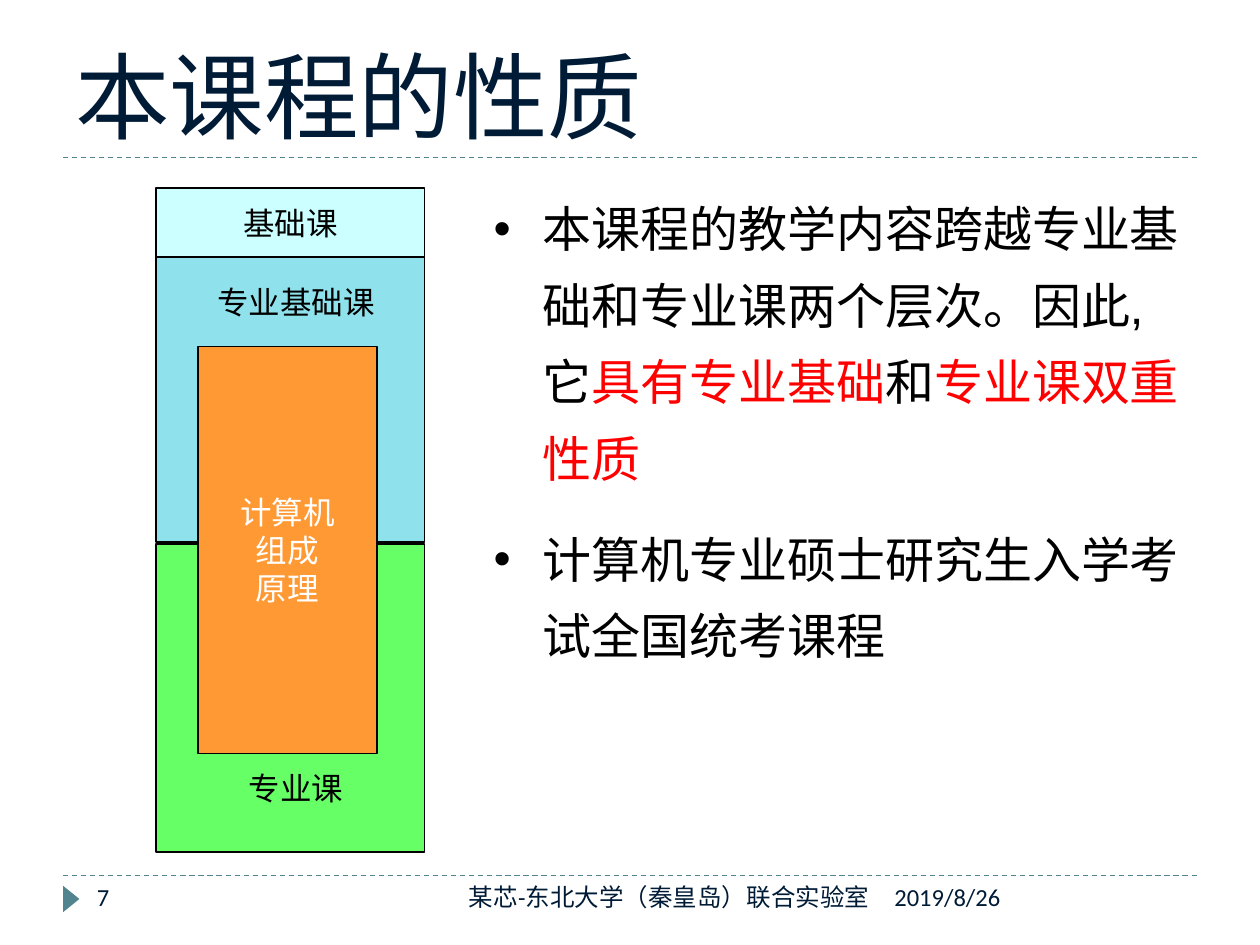
import dataclasses

import lxml.etree
import pptx
import pptx.dml.color
import pptx.enum.dml
import pptx.enum.shapes
import pptx.enum.text
import pptx.oxml.ns
import pptx.util

Inches = pptx.util.Inches
Pt = pptx.util.Pt
Align = pptx.enum.text.PP_ALIGN
Anchor = pptx.enum.text.MSO_ANCHOR
Shape = pptx.enum.shapes.MSO_SHAPE
qn = pptx.oxml.ns.qn


@dataclasses.dataclass(frozen=True)
class Theme:
    """Colours, fonts and type sizes of the slide."""

    navy: str = "001B36"
    teal: str = "51848E"
    black: str = "000000"
    white: str = "FFFFFF"
    red: str = "FF0000"
    basic: str = "CCFFFF"
    major_basic: str = "8FE2EB"
    major: str = "66FF66"
    course: str = "FF9933"
    title_font: str = "Roboto Slab"
    body_font: str = "Arial"
    label_font: str = "Calibri"
    course_font: str = "Noto Sans CJK JP"
    title_size: int = 54
    body_size: int = 28
    label_size: int = 18
    footer_size: int = 14


def rgb(color):
    """Turn a hex string into a colour."""
    return pptx.dml.color.RGBColor.from_string(color)


class SlideBuilder:
    """Holds the theme and the current slide, and draws each kind of element."""

    def __init__(self, slide, theme):
        """Keep the slide and its theme."""
        self.slide = slide
        self.theme = theme

    def style(self, paragraph, font, size, color, align=Align.LEFT):
        """Set the font and alignment of a paragraph."""
        paragraph.alignment = align
        paragraph.font.name = font
        paragraph.font.size = Pt(size)
        if color:
            paragraph.font.color.rgb = rgb(color)

    def fill_frame(self, frame, lines, font, size, color, align, anchor, wrap=True):
        """Fill a text frame with equally styled lines."""
        frame.word_wrap = wrap
        frame.vertical_anchor = anchor
        for index, line in enumerate(lines):
            paragraph = frame.add_paragraph() if index else frame.paragraphs[0]
            paragraph.add_run().text = line
            self.style(paragraph, font, size, color, align)

    def text(self, box, line, font, size, color,
             align=Align.LEFT, anchor=Anchor.TOP, wrap=True):
        """Add a one-line text box."""
        frame = self.slide.shapes.add_textbox(*map(Inches, box)).text_frame
        self.fill_frame(frame, [line], font, size, color, align, anchor, wrap)

    def label(self, box, line):
        """Add a centred black label."""
        self.text(box, line, self.theme.label_font, self.theme.label_size,
                  self.theme.black, Align.CENTER, Anchor.MIDDLE, False)

    def footer(self, left, width, line, align=Align.LEFT):
        """Add a text to the footer row."""
        self.text((left, 6.95, width, 0.4), line, self.theme.label_font,
                  self.theme.footer_size, self.theme.navy, align)

    def shape(self, kind, box, fill, outline=None):
        """Add a filled preset shape."""
        shape = self.slide.shapes.add_shape(kind, *map(Inches, box))
        shape.shadow.inherit = False
        shape.fill.solid()
        shape.fill.fore_color.rgb = rgb(fill)
        if outline:
            shape.line.color.rgb = rgb(outline)
            shape.line.width = Pt(1)
        else:
            shape.line.fill.background()
        return shape

    def block(self, box, fill, lines=(), font=None, color=None):
        """Add an outlined rectangle with optional centred lines."""
        block = self.shape(Shape.RECTANGLE, box, fill, self.theme.black)
        self.fill_frame(block.text_frame, lines, font, self.theme.label_size, color,
                        Align.CENTER, Anchor.MIDDLE, False)

    def rule(self, top):
        """Add a dashed rule across the slide."""
        rule = self.slide.shapes.add_connector(
            pptx.enum.shapes.MSO_CONNECTOR.STRAIGHT,
            Inches(0.5), Inches(top), Inches(9.5), Inches(top))
        rule.line.color.rgb = rgb(self.theme.teal)
        rule.line.width = Pt(0.75)
        rule.line.dash_style = pptx.enum.dml.MSO_LINE.DASH
        properties = rule._element.find(qn("p:spPr"))
        lxml.etree.SubElement(properties, qn("a:effectLst"))

    def bullets(self, box, points):
        """Add bulleted points, each a list of (wording, colour) parts."""
        frame = self.slide.shapes.add_textbox(*map(Inches, box)).text_frame
        frame.word_wrap = True
        for index, parts in enumerate(points):
            paragraph = frame.add_paragraph() if index else frame.paragraphs[0]
            paragraph.line_spacing = 1.3
            if index:
                paragraph.space_before = Pt(self.theme.body_size / 2)
            properties = paragraph._p.get_or_add_pPr()
            properties.set("marL", str(Inches(0.39)))
            properties.set("indent", str(-Inches(0.39)))
            bullet_color = lxml.etree.SubElement(properties, qn("a:buClr"))
            lxml.etree.SubElement(bullet_color, qn("a:srgbClr"), val=self.theme.black)
            lxml.etree.SubElement(properties, qn("a:buFont"), typeface=self.theme.body_font)
            lxml.etree.SubElement(properties, qn("a:buChar"), char="•")
            self.style(paragraph, self.theme.body_font, self.theme.body_size, None)
            for wording, color in parts:
                run = paragraph.add_run()
                run.text = wording
                run.font.color.rgb = rgb(color)


def main():
    """Build the slide and save it."""
    theme = Theme()
    deck = pptx.Presentation()
    deck.slide_width, deck.slide_height = Inches(10), Inches(7.5)
    builder = SlideBuilder(deck.slides.add_slide(deck.slide_layouts[6]), theme)

    for top in (6.95, 1.25):
        builder.rule(top)
    marker = builder.shape(Shape.ISOSCELES_TRIANGLE, (0.46, 7.07, 0.21, 0.13), theme.teal)
    marker.rotation = 90

    builder.text((0.5, 0.17, 9, 1.08), "本课程的性质", theme.title_font,
                 theme.title_size, theme.navy, anchor=Anchor.BOTTOM)
    builder.bullets((3.82, 1.39, 5.67, 4.01), [
        [("本课程的教学内容跨越专业基础和专业课两个层次。因此, 它", theme.black),
         ("具有专业基础", theme.red),
         ("和", theme.black),
         ("专业课双重性质", theme.red)],
        [("计算机专业硕士研究生入学考试全国统考课程", theme.black)],
    ])

    left, width = 1.24, 2.13
    builder.block((left, 1.49, width, 0.55), theme.basic,
                  ["基础课"], theme.label_font, theme.black)
    builder.block((left, 2.04, width, 2.26), theme.major_basic)
    builder.block((left, 4.32, width, 2.44), theme.major)
    builder.block((1.57, 2.75, 1.42, 3.23), theme.course,
                  ["计算机", "组成", "原理"], theme.course_font, theme.white)
    builder.label((1.25, 2.2, 2.2, 0.39), "专业基础课")
    builder.label((1.25, 5.9, 2.2, 0.71), "专业课")

    builder.footer(0.67, 2.17, "7")
    builder.footer(7, 2.5, "2019/8/26")
    builder.footer(3.17, 3.83, "某芯-东北大学（秦皇岛）联合实验室", Align.RIGHT)
    deck.save("out.pptx")


if __name__ == "__main__":
    main()
